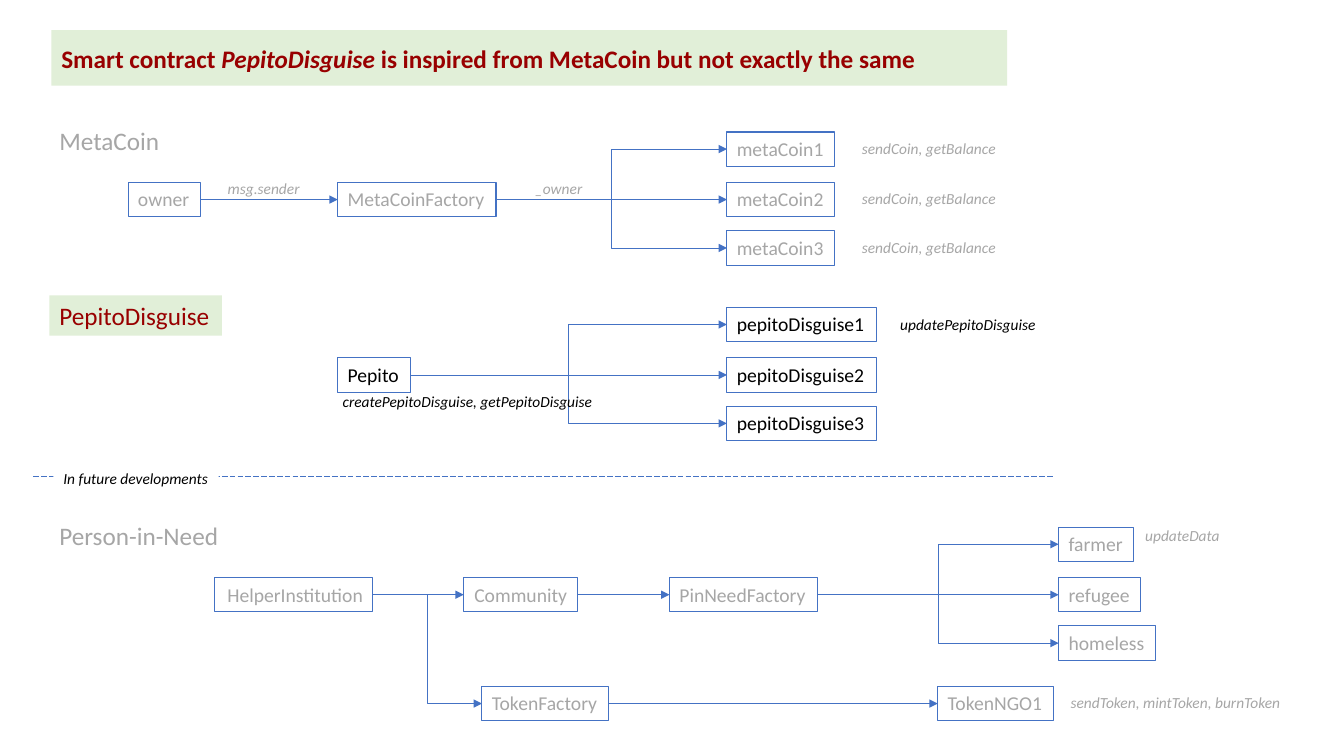
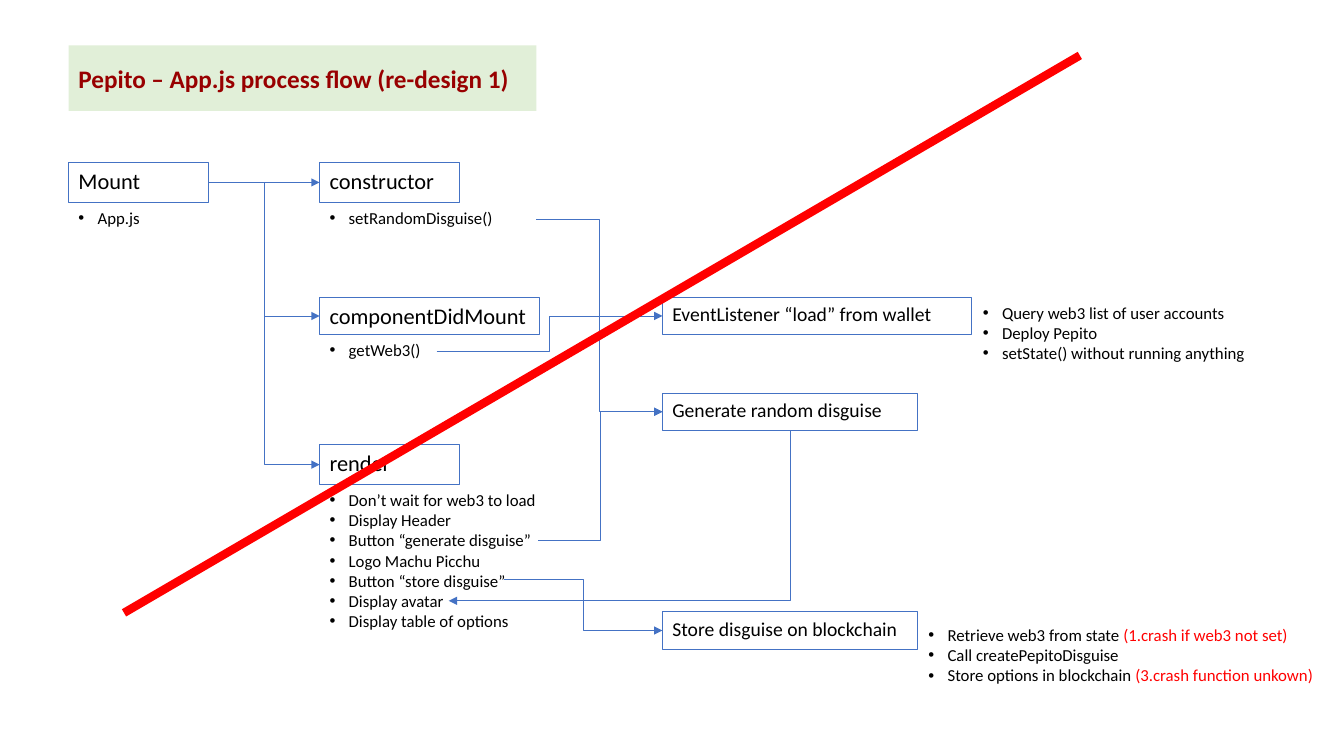
from lxml import etree
from pptx import Presentation
from pptx.dml.color import RGBColor
from pptx.enum.dml import MSO_LINE
from pptx.enum.shapes import MSO_CONNECTOR, MSO_SHAPE
from pptx.enum.text import MSO_ANCHOR, PP_ALIGN
from pptx.oxml.ns import qn
from pptx.util import Inches, Pt

RECT = MSO_SHAPE.RECTANGLE
LINE, BENT = MSO_CONNECTOR.STRAIGHT, MSO_CONNECTOR.ELBOW
DASH = MSO_LINE.LONG_DASH
TOP, MIDDLE = MSO_ANCHOR.TOP, MSO_ANCHOR.MIDDLE
LEFT, CENTER, RIGHT = PP_ALIGN.LEFT, PP_ALIGN.CENTER, PP_ALIGN.RIGHT

FONT = "Calibri"
COLORS = {
    "ink": "000000",
    "gray": "A6A6A6",
    "blue": "4472C4",
    "mint": "E1EFD8",
    "wine": "980000",
    "red": "FF0000",
    "white": "FFFFFF",
}
ROW = 0.34
NOTE = 0.29
ROWS = (0, 0.5, 0.98)


def color(name):
    return RGBColor.from_string(COLORS[name])


def bullet(para):
    props = para._p.get_or_add_pPr()
    props.set("marL", str(Inches(0.19)))
    props.set("indent", str(-Inches(0.19)))
    etree.SubElement(props, qn("a:buFont")).set("typeface", "Arial")
    etree.SubElement(props, qn("a:buChar")).set("char", "•")


def write(shape, lines, size, tone, bold=False, slant=False, align=LEFT,
          anchor=TOP, dots=False):
    frame = shape.text_frame
    frame.word_wrap = False
    frame.vertical_anchor = anchor
    for i, line in enumerate(lines):
        para = frame.add_paragraph() if i else frame.paragraphs[0]
        para.alignment = align
        if dots:
            bullet(para)
        parts = [(line, {})] if isinstance(line, str) else line
        for text, style in parts:
            run = para.add_run()
            run.text = text
            font = run.font
            font.name, font.size, font.bold = FONT, Pt(size), bold
            font.italic = style.get("slant", slant)
            font.color.rgb = color(style.get("tone", tone))


def label(slide, x, y, w, h, lines, size, tone="ink", **style):
    shape = slide.shapes.add_textbox(Inches(x), Inches(y), Inches(w), Inches(h))
    write(shape, lines, size, tone, **style)


def note(slide, x, y, w, text, tone="gray"):
    label(slide, x, y, w, NOTE, [text], 11, tone, slant=True)


def points(slide, x, y, w, h, lines):
    label(slide, x, y, w, h, lines, 12, dots=True)


def block(slide, x, y, w, h, lines, size, tone, fill=None, **style):
    shape = slide.shapes.add_shape(RECT, Inches(x), Inches(y), Inches(w), Inches(h))
    shape.shadow.inherit = False
    if fill:
        shape.fill.solid()
        shape.fill.fore_color.rgb = color(fill)
        shape.line.fill.background()
    else:
        shape.fill.background()
        shape.line.color.rgb = color("blue")
        shape.line.width = Pt(0.75)
    write(shape, lines, size, tone, **style)
    return shape


def node(slide, x, y, w, text, tone="gray", size=14, h=ROW, align=LEFT):
    return block(slide, x, y, w, h, [text], size, tone, align=align)


def title(slide, x, y, w, h, parts):
    block(slide, x, y, w, h, [parts], 18, "wine", "mint", bold=True, anchor=MIDDLE)


def stroke(slide, kind, start, end, tone="blue", width=0.5, arrow=False, dash=None):
    line = slide.shapes.add_connector(kind, *start, *end)
    line.line.color.rgb = color(tone)
    line.line.width = Pt(width)
    if dash:
        line.line.dash_style = dash
    props = line._element.spPr
    if arrow:
        etree.SubElement(props.find(qn("a:ln")), qn("a:tailEnd")).set("type", "triangle")
    etree.SubElement(props, qn("a:effectLst"))
    return line


def spot(x, y):
    return Inches(x), Inches(y)


def link(slide, start, goal):
    joined = not isinstance(start, tuple)
    begin = start
    if joined:
        begin = (start.left + start.width, start.top + start.height // 2)
    end = (goal.left, goal.top + goal.height // 2)
    kind = LINE if abs(end[1] - begin[1]) < Inches(0.01) else BENT
    line = stroke(slide, kind, begin, end, arrow=True)
    if joined:
        line.begin_connect(start, 3)
    line.end_connect(goal, 1)


def fan(slide, start, x, y, items, tone="gray"):
    for step, (text, width) in zip(ROWS, items):
        link(slide, start, node(slide, x, y + step, width, text, tone))


def coin(slide, x, y):
    row = y + 0.12
    mid = row + ROWS[1]
    label(slide, x, y, 1.2, 0.4, ["MetaCoin"], 18, "gray")
    owner = node(slide, x + 0.78, mid, 0.72, "owner")
    maker = node(slide, x + 2.86, mid, 1.57, "MetaCoinFactory")
    link(slide, owner, maker)
    fan(slide, maker, x + 6.72, row, [(f"metaCoin{i}", 1.07) for i in (1, 2, 3)])
    note(slide, x + 1.67, mid - 0.08, 0.93, "msg.sender")
    note(slide, x + 4.72, mid - 0.08, 0.67, "_owner")
    for step in ROWS:
        note(slide, x + 7.96, row + step + 0.02, 1.54, "sendCoin, getBalance")


def disguise(slide, x, y):
    row = y + 0.12
    block(slide, x, y, 1.71, 0.4, ["PepitoDisguise"], 18, "wine", "mint")
    maker = node(slide, x + 2.86, row + ROWS[1], 0.72, "Pepito", "ink")
    items = [(f"pepitoDisguise{i}", 1.48) for i in (1, 2, 3)]
    fan(slide, maker, x + 6.72, row, items, "ink")
    note(slide, x + 8.34, row + 0.03, 1.55, "updatePepitoDisguise", "ink")
    note(slide, x + 2.81, y + 0.91, 2.7, "createPepitoDisguise, getPepitoDisguise", "ink")


def future(slide, x, y, w):
    stroke(slide, LINE, spot(x, y), spot(x + w, y), dash=DASH)
    block(slide, x + 0.2, y - 0.13, 1.64, NOTE, ["In future developments"], 11,
          "ink", "white", slant=True)


def need(slide, x, y):
    row = y + 0.12
    mid = row + ROWS[1]
    low = y + 1.7
    label(slide, x, y, 1.79, 0.4, ["Person-in-Need"], 18, "gray")
    helper = node(slide, x + 1.64, mid, 1.57, "HelperInstitution", align=RIGHT)
    group = node(slide, x + 4.11, mid, 1.13, "Community", align=CENTER)
    maker = node(slide, x + 6.15, mid, 1.47, "PinNeedFactory")
    token = node(slide, x + 4.29, low, 1.26, "TokenFactory")
    asset = node(slide, x + 8.81, low, 1.15, "TokenNGO1")
    for start, goal in ((helper, group), (group, maker), (helper, token), (token, asset)):
        link(slide, start, goal)
    people = [("farmer", 0.74), ("refugee", 0.81), ("homeless", 0.96)]
    fan(slide, maker, x + 10.01, row, people)
    note(slide, x + 10.77, y + 0.06, 0.95, "updateData")
    note(slide, x + 10.03, low + 0.02, 2.35, "sendToken, mintToken, burnToken")


def phases(slide, x, y):
    mount = node(slide, x, y, 1.39, "Mount", "ink", 16, 0.4)
    points(slide, x, y + 0.4, 0.81, 0.3, ["App.js"])
    col = x + 2.49
    steps = (
        ("constructor", 0, 1.39, 0.4, 1.83, ["setRandomDisguise()"]),
        ("componentDidMount", 1.34, 2.18, 0.37, 1.11, ["getWeb3()"]),
        ("render", 2.8, 1.39, 0.4, 2.27, [
            "Don’t wait for web3 to load",
            "Display Header",
            "Button “generate disguise”",
            "Logo Machu Picchu",
            "Button “store disguise”",
            "Display avatar",
            "Display table of options",
        ]),
    )
    for text, down, width, height, wide, lines in steps:
        top = y + down
        link(slide, mount, node(slide, col, top, width, text, "ink", 16, height))
        points(slide, col, top + height, wide, 0.1 + 0.2 * len(lines), lines)


def tasks(slide, x, y):
    load, make, store = [
        node(slide, x, y + down, width, text, "ink", h=0.37)
        for text, down, width in (
            ("EventListener “load” from wallet", 0, 3.07),
            ("Generate random disguise", 0.95, 2.53),
            ("Store disguise on blockchain", 3.12, 2.53),
        )
    ]
    for dx, dy, goal in ((-2.24, 0.54, load), (-1.25, -0.77, make),
                         (-1.23, 2.41, make), (-1.57, 2.8, store)):
        link(slide, spot(x + dx, y + dy), goal)
    back = stroke(slide, BENT, spot(x - 1.27, y + 0.47), spot(x + 0.42, y + 3.86),
                  arrow=True)
    props = back._element.spPr
    props.find(qn("a:prstGeom")).set("prst", "bentConnector2")
    props.find(qn("a:xfrm")).set("rot", "5400000")
    points(slide, x + 3.08, y, 2.82, 0.71, [
        "Query web3 list of user accounts",
        "Deploy Pepito",
        "setState() without running anything",
    ])
    alert = {"tone": "red"}
    points(slide, x + 2.54, y + 3.2, 4.06, 0.71, [
        [("Retrieve web3 from state ", {}), ("(1.crash if web3 not set)", alert)],
        "Call createPepitoDisguise",
        [("Store options in blockchain ", {}), ("(3.crash function unkown)", alert)],
    ])


def contracts(slide):
    title(slide, 0.51, 0.3, 9.48, 0.55, [
        ("Smart contract ", {}),
        ("PepitoDisguise", {"slant": True}),
        (" is inspired from MetaCoin but not exactly the same", {}),
    ])
    coin(slide, 0.49, 1.19)
    disguise(slide, 0.49, 2.93)
    future(slide, 0.33, 4.73, 10.11)
    need(slide, 0.49, 5.11)


def process(slide):
    title(slide, 0.68, 0.45, 4.64, 0.65,
          [("Pepito – App.js process flow (re-design 1)", {})])
    phases(slide, 0.68, 1.61)
    tasks(slide, 6.57, 2.95)
    stroke(slide, LINE, spot(1.23, 6.08), spot(10.71, 0.55), "red", 6)


def main():
    deck = Presentation()
    deck.slide_width, deck.slide_height = Inches(13.33), Inches(7.5)
    for build in (contracts, process):
        build(deck.slides.add_slide(deck.slide_layouts[6]))
    deck.save("out.pptx")


if __name__ == "__main__":
    main()
